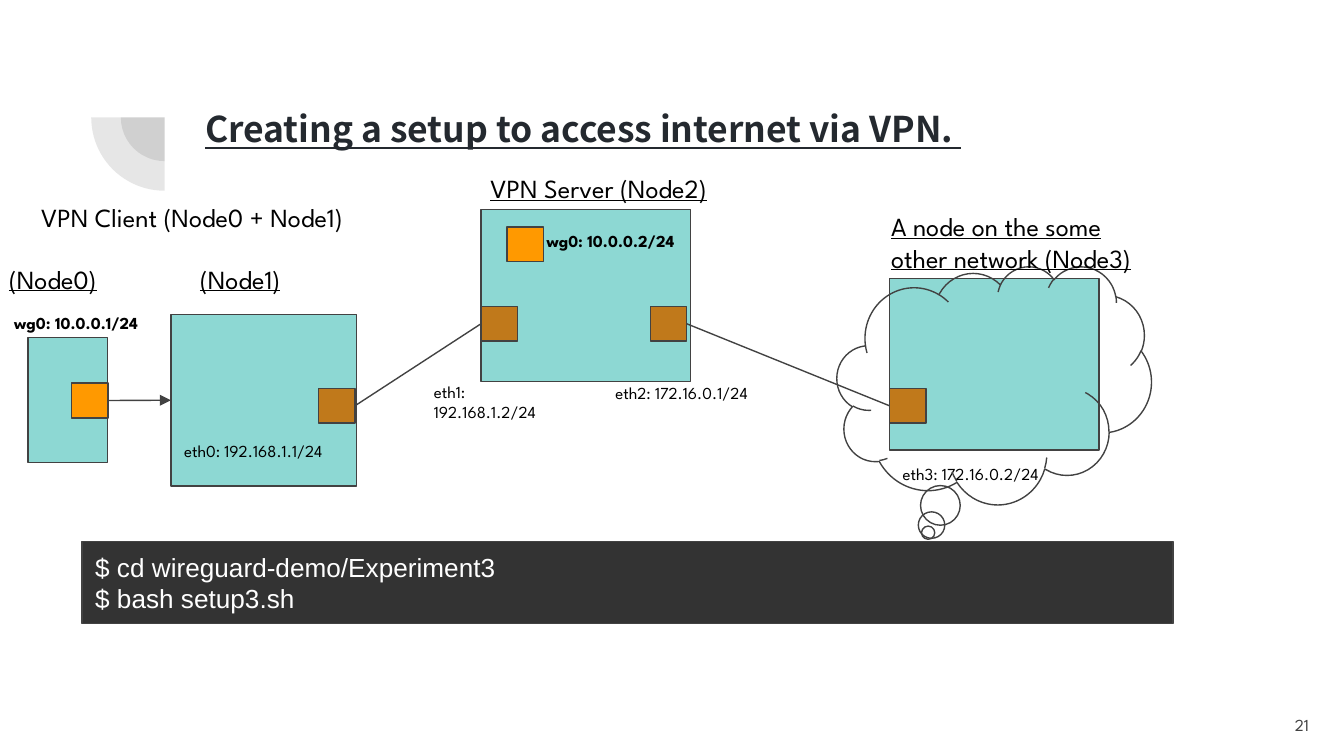
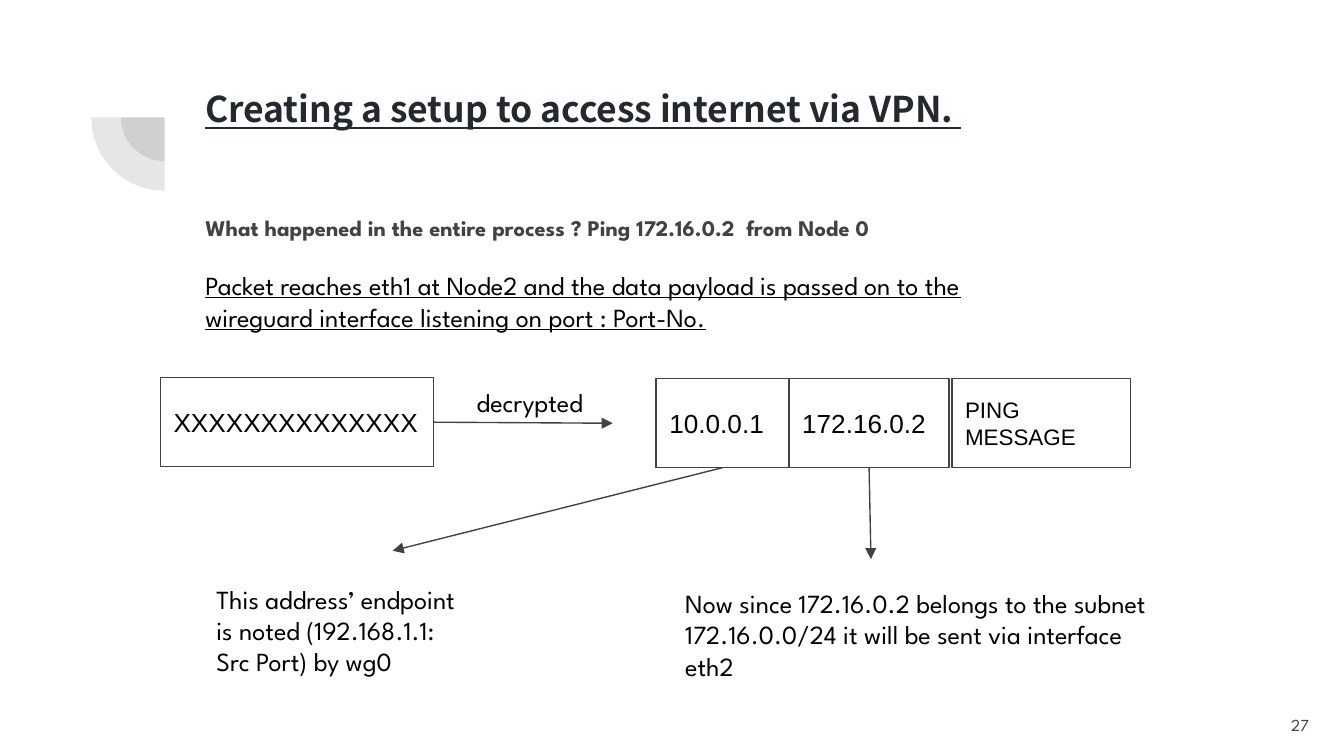
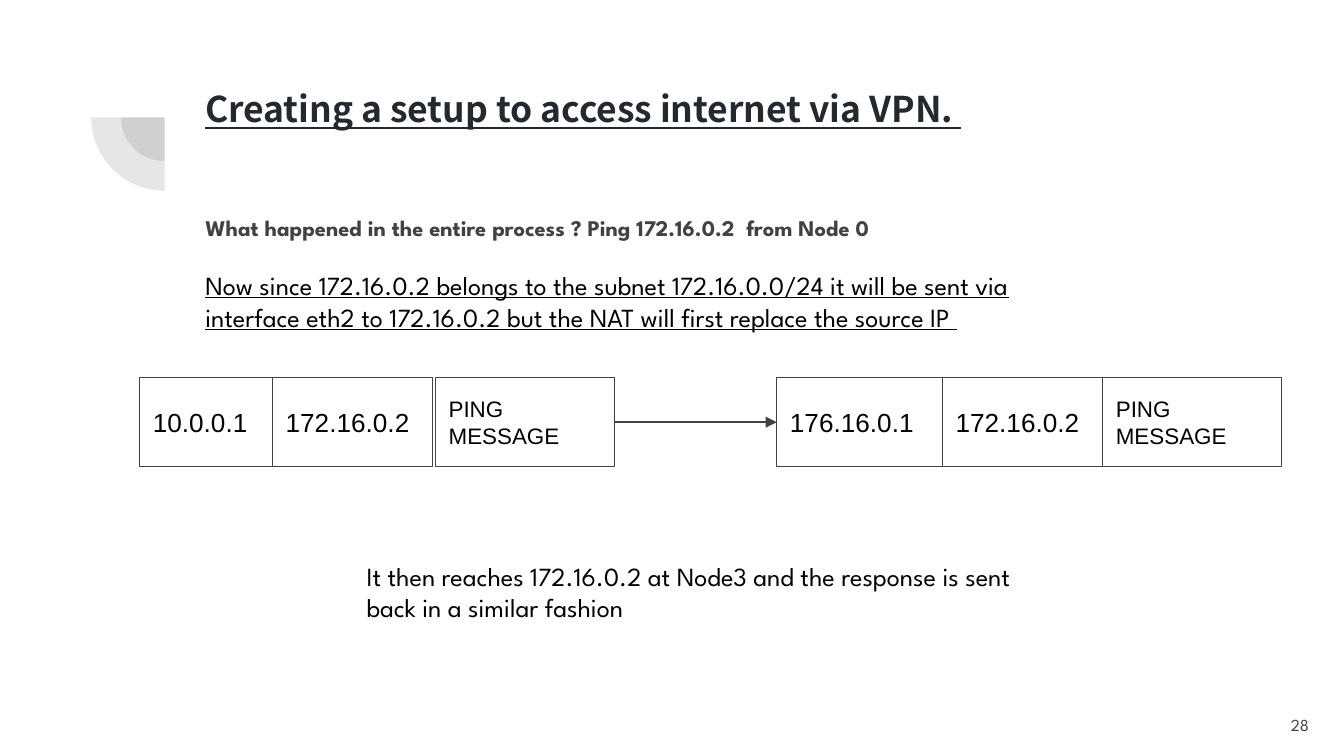
"""Builds three slides on reaching the internet through a VPN."""
from lxml import etree
from pptx import Presentation
from pptx.dml.color import RGBColor
from pptx.enum import shapes, text
from pptx.oxml import ns
from pptx.util import Cm, Pt

BLACK = RGBColor(0x00, 0x00, 0x00)
WHITE = RGBColor(0xFF, 0xFF, 0xFF)
GREY = RGBColor(0x42, 0x42, 0x42)
TITLE_INK = RGBColor(0x24, 0x29, 0x2F)
NODE = RGBColor(0x8D, 0xD8, 0xD3)
ETHERNET = RGBColor(0xC0, 0x79, 0x1B)
TUNNEL = RGBColor(0xFF, 0x99, 0x00)
TERMINAL = RGBColor(0x33, 0x33, 0x33)

SANS = "League Spartan"
MONO = "Arial"
TITLE_FONT = "Noto Sans CJK JP"

TITLE = "Creating a setup to access internet via VPN. "
QUESTION = "What happened in the entire process ? Ping 172.16.0.2  from Node 0"
PORT_SIZE = (0.69, 0.66)
TOP, LEFT, BOTTOM, RIGHT = range(4)


def place(shape, left, top, width, height):
    """Move and size a shape, in centimetres."""
    shape.left, shape.top = Cm(left), Cm(top)
    shape.width, shape.height = Cm(width), Cm(height)


def style(paragraph, size, color, font=SANS, bold=False, underline=False):
    """Set the font of a whole paragraph."""
    paragraph.font.size = Pt(size)
    paragraph.font.name = font
    paragraph.font.bold = bold
    paragraph.font.underline = underline
    paragraph.font.color.rgb = color


def prepare(frame, anchor=text.MSO_ANCHOR.TOP):
    """Give a text frame the shared insets, wrapping and anchor."""
    frame.word_wrap = True
    frame.auto_size = text.MSO_AUTO_SIZE.NONE
    frame.vertical_anchor = anchor
    frame.margin_left = frame.margin_right = Cm(0.25)
    frame.margin_top = frame.margin_bottom = Cm(0.25)


def fill_placeholder(placeholder, wording, box, **font):
    """Fill a template placeholder as a plain left-aligned line."""
    place(placeholder, *box)
    prepare(placeholder.text_frame)
    placeholder.text_frame.text = wording
    line = placeholder.text_frame.paragraphs[0]
    line.alignment = text.PP_ALIGN.LEFT
    line.line_spacing = 1.15
    line.space_before, line.space_after = Pt(0), Pt(12)
    properties = line._p.get_or_add_pPr()
    properties.set("marL", "0")
    properties.set("indent", "0")
    etree.SubElement(properties, ns.qn("a:buNone"))
    style(line, **font)


def label(slide, wording, box, size=14, color=BLACK, bold=False, underline=False):
    """Add a free text label."""
    note = slide.shapes.add_textbox(*map(Cm, box))
    prepare(note.text_frame)
    note.text_frame.text = wording
    style(note.text_frame.paragraphs[0], size, color, bold=bold, underline=underline)
    return note


def outline(slide, kind, box, fill=None):
    """Add a thinly outlined preset shape, unfilled unless a colour is given."""
    shape = slide.shapes.add_shape(kind, *map(Cm, box))
    shape.shadow.inherit = False
    shape.line.color.rgb = GREY
    shape.line.width = Pt(0.75)
    if fill is None:
        shape.fill.background()
    else:
        shape.fill.solid()
        shape.fill.fore_color.rgb = fill
    return shape


def block(slide, box, fill, wording="", size=14, color=BLACK):
    """Add a rectangle with optional left-aligned text."""
    shape = outline(slide, shapes.MSO_SHAPE.RECTANGLE, box, fill)
    if wording:
        prepare(shape.text_frame, text.MSO_ANCHOR.MIDDLE)
        shape.text_frame.text = wording
        for line in shape.text_frame.paragraphs:
            line.alignment = text.PP_ALIGN.LEFT
            style(line, size, color, MONO)
    return shape


def link(slide, source, site, end=(0, 0), target=None, arrow=True):
    """Join a side of one shape to a point or to the left of another shape."""
    wire = slide.shapes.add_connector(
        shapes.MSO_CONNECTOR.STRAIGHT, 0, 0, *map(Cm, end))
    wire.begin_connect(source, site)
    if target is not None:
        wire.end_connect(target, LEFT)
    wire.line.color.rgb = GREY
    wire.line.width = Pt(0.75)
    if arrow:
        etree.SubElement(wire.line._get_or_add_ln(), ns.qn("a:tailEnd"), type="triangle")
    etree.SubElement(wire._element.spPr, ns.qn("a:effectLst"))


def packet(slide, left, top, source, source_width=2.51, gap=0.05):
    """Add a packet as source, destination and message, and return its blocks."""
    fields = [(source, source_width, 14, 0),
              ("172.16.0.2", 3.03, 14, gap),
              ("PING MESSAGE", 3.38, 12, 0)]
    blocks = []
    for wording, width, size, space in fields:
        blocks.append(block(slide, (left, top, width, 1.68), WHITE, wording, size))
        left += width + space
    return blocks


def corner_mark(slide):
    """Add the two translucent quarter rings beside the title."""
    center_x, center_y = 3.11, 2.22
    for diameter in (1.65, 2.77):
        box = (center_x - diameter / 2, center_y - diameter / 2, diameter, diameter)
        ring = outline(slide, shapes.MSO_SHAPE.PIE, box, GREY)
        ring.line.fill.background()
        ring.adjustments[0], ring.adjustments[1] = 108, 162
        ring.rotation = 270
        tint = ring._element.spPr.find(".//" + ns.qn("a:srgbClr"))
        etree.SubElement(tint, ns.qn("a:alpha"), val="13000")


def new_slide(deck, number, title_top=1.27, question=QUESTION):
    """Add a slide with the shared title, mark, question and number."""
    slide = deck.slides.add_slide(deck.slide_layouts[1])
    corner_mark(slide)
    fill_placeholder(slide.shapes.title, TITLE, (3.63, title_top, 19.53, 1.68),
                     size=19, color=TITLE_INK, font=TITLE_FONT, bold=True, underline=True)
    body = slide.placeholders[1]
    if question:
        fill_placeholder(body, question, (3.63, 3.73, 14.94, 1.12),
                         size=12, color=GREY, bold=True)
    else:
        body.element.getparent().remove(body.element)
    page = label(slide, str(number), (23.47, 13.16, 1.52, 1.09), 9, GREY)
    page.text_frame.vertical_anchor = text.MSO_ANCHOR.MIDDLE
    page.text_frame.paragraphs[0].alignment = text.PP_ALIGN.RIGHT
    return slide


def network_slide(deck):
    """Draw the four nodes, their interfaces and the setup commands."""
    slide = new_slide(deck, 21, title_top=1.65, question=None)
    node0_box = (0.53, 6.38, 1.5, 2.36)
    node1_box = (3.23, 5.94, 3.51, 3.25)
    node2_box = (9.09, 3.96, 3.96, 3.25)
    node3_box = (16.81, 5.26, 3.96, 3.25)
    _, node1, _, _ = [
        block(slide, box, NODE) for box in (node0_box, node1_box, node2_box, node3_box)]
    eth0, eth1, eth2, eth3 = [
        block(slide, (*corner, *PORT_SIZE), ETHERNET)
        for corner in ((6.02, 7.34), (9.09, 5.79), (12.29, 5.79), (16.81, 7.34))]
    client_wg0, _ = [
        block(slide, (*corner, *PORT_SIZE), TUNNEL)
        for corner in ((1.35, 7.24), (9.58, 4.29))]
    link(slide, eth0, RIGHT, target=eth1, arrow=False)
    link(slide, eth2, RIGHT, target=eth3, arrow=False)
    link(slide, client_wg0, RIGHT, target=node1)

    for address, box in (
            ("eth0: 192.168.1.1/24", (3.23, 8.08, 3.96, 0.89)),
            ("eth1: 192.168.1.2/24", (7.95, 6.96, 3.1, 1.27)),
            ("eth2: 172.16.0.1/24", (11.38, 6.98, 3.1, 1.27)),
            ("eth3: 172.16.0.2/24", (16.81, 8.51, 3.51, 0.89))):
        label(slide, address, box, size=9)
    for address, corner in (("wg0: 10.0.0.2/24", (10.08, 4.11)),
                            ("wg0: 10.0.0.1/24", (0.02, 5.66))):
        label(slide, address, (*corner, 3.51, 0.89), size=9, bold=True)

    cloud = outline(slide, shapes.MSO_SHAPE.CLOUD_CALLOUT, (15.82, 5.03, 5.94, 4.5))
    cloud.adjustments[0], cloud.adjustments[1] = -0.21, 0.62
    for name, box in (
            ("(Node0)", (-0.08, 4.72, 2.77, 1.12)),
            ("(Node1)", (3.53, 4.72, 2.77, 1.12)),
            ("VPN Server (Node2)", (9.02, 3, 5.66, 1.12)),
            ("A node on the some other network (Node3)", (16.59, 3.73, 5.66, 1.7))):
        label(slide, name, box, underline=True)
    label(slide, "VPN Client (Node0 + Node1)", (0.53, 3.56, 7.19, 1.12))
    block(slide, (1.55, 10.24, 20.62, 1.55), TERMINAL,
          "$ cd wireguard-demo/Experiment3\n$ bash setup3.sh", color=WHITE)


def decryption_slide(deck):
    """Show the payload being decrypted and how its addresses are used."""
    slide = new_slide(deck, 27)
    label(slide, "Packet reaches eth1 at Node2 and the data payload is passed on to "
          "the wireguard interface listening on port : Port-No.",
          (3.63, 4.85, 16.69, 1.7), underline=True)
    payload = block(slide, (3.03, 7.14, 5.16, 1.68), WHITE, "XXXXXXXXXXXXXX")
    link(slide, payload, RIGHT, (11.58, 8))
    label(slide, "decrypted", (8.76, 7.06, 3.02, 1.12))
    source, destination, _ = packet(slide, 12.4, 7.16, "10.0.0.1")
    link(slide, source, BOTTOM, (7.42, 10.41))
    link(slide, destination, BOTTOM, (16.46, 10.57))
    label(slide, "This address’ endpoint is noted (192.168.1.1: Src Port) by wg0",
          (3.84, 10.77, 5.16, 2.9))
    label(slide, "Now since 172.16.0.2 belongs to the subnet 172.16.0.0/24 it will "
          "be sent via interface eth2", (12.7, 10.85, 9.75, 2.31))


def translation_slide(deck):
    """Show the packet before and after its source address is replaced."""
    slide = new_slide(deck, 28)
    label(slide, "Now since 172.16.0.2 belongs to the subnet 172.16.0.0/24 it will be "
          "sent via interface eth2 to 172.16.0.2 but the NAT will first replace the "
          "source IP ", (3.63, 4.85, 16.69, 2.9), underline=True)
    before = packet(slide, 2.64, 7.14, "10.0.0.1")
    after = packet(slide, 14.68, 7.14, "176.16.0.1", source_width=3.13, gap=0)
    link(slide, before[-1], RIGHT, target=after[0])
    label(slide, "It then reaches 172.16.0.2 at Node3 and the response is sent back in "
          "a similar fashion", (6.68, 10.34, 13.08, 1.7))


def main():
    """Build and save the deck."""
    deck = Presentation()
    deck.slide_width, deck.slide_height = Cm(25.4), Cm(14.29)
    network_slide(deck)
    decryption_slide(deck)
    translation_slide(deck)
    deck.save("out.pptx")


if __name__ == "__main__":
    main()
